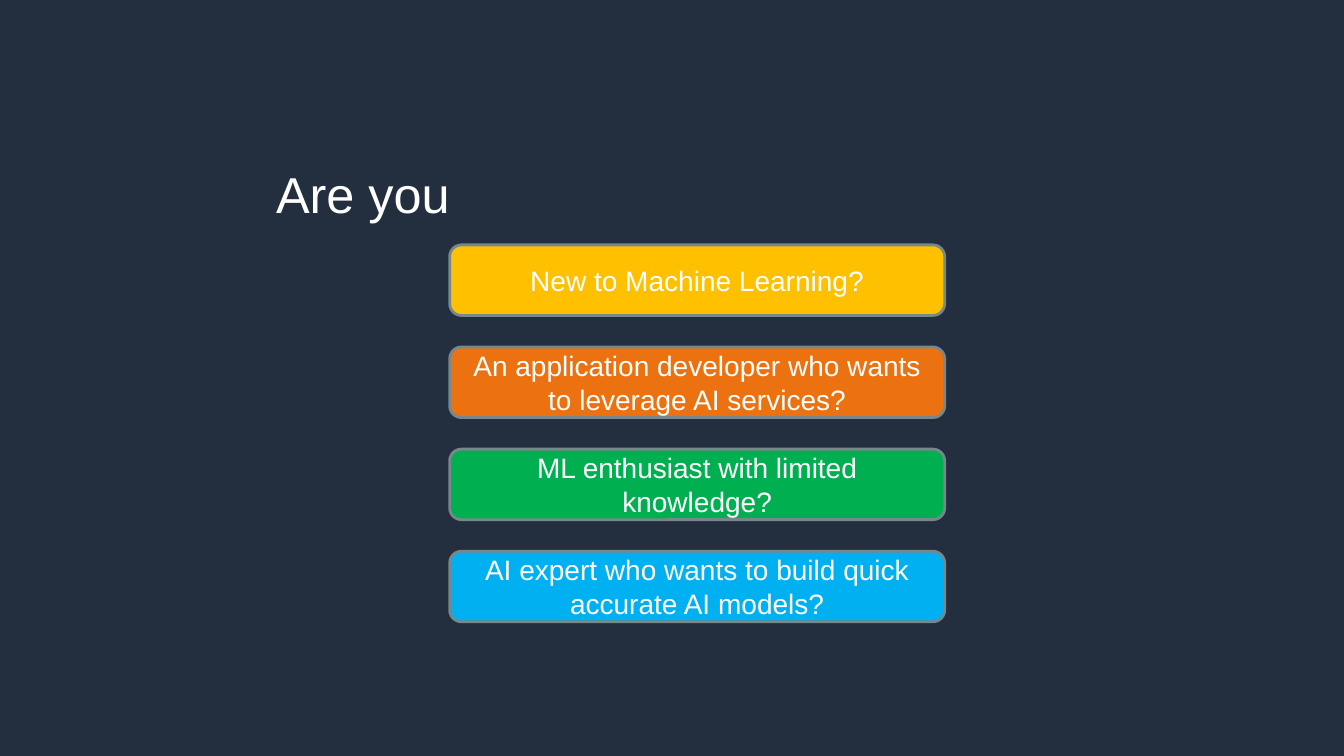
import pptx
import pptx.util
import pptx.dml.color
import pptx.enum.shapes
import pptx.enum.text

Inches, Pt = pptx.util.Inches, pptx.util.Pt
ALIGN = pptx.enum.text.PP_ALIGN
ANCHOR = pptx.enum.text.MSO_ANCHOR

# Content
TITLE = "Are you "
QUESTIONS = [
    ("New to Machine Learning?", "yellow"),
    ("An application developer who wants to leverage AI services?", "orange"),
    ("ML enthusiast with limited knowledge?", "green"),
    ("AI expert who wants to build quick accurate AI models?", "blue"),
]
COLORS = {
    "navy": "232F3E", "white": "FFFFFF", "border": "77878C",
    "yellow": "FFC000", "orange": "EC7211", "green": "00B050", "blue": "00B0F0",
}

# Layout of the question boxes, in inches
BOX_LEFT, BOX_TOP, BOX_WIDTH, BOX_HEIGHT = 4.46, 2.43, 4.91, 0.7
BOX_STEP = 1.013


def rgb(name):
    return pptx.dml.color.RGBColor.from_string(COLORS[name])


def write(sp, text, size, align, anchor):
    tf = sp.text_frame
    tf.word_wrap = True
    tf.vertical_anchor = anchor
    p = tf.paragraphs[0]
    p.alignment = align
    r = p.add_run()
    r.text = text
    r.font.name = "Arial"
    r.font.size = Pt(size)
    r.font.color.rgb = rgb("white")


prs = pptx.Presentation()
prs.slide_width, prs.slide_height = Inches(13.33), Inches(7.5)
s = prs.slides.add_slide(prs.slide_layouts[6])

# Background
s.background.fill.solid()
s.background.fill.fore_color.rgb = rgb("navy")

# Title
sp = s.shapes.add_textbox(Inches(2.64), Inches(1.57), Inches(5.47), Inches(0.71))
write(sp, TITLE, 36, ALIGN.LEFT, ANCHOR.TOP)
sp.text_frame.auto_size = pptx.enum.text.MSO_AUTO_SIZE.SHAPE_TO_FIT_TEXT

# Question boxes
for i, (question, color) in enumerate(QUESTIONS):
    sp = s.shapes.add_shape(
        pptx.enum.shapes.MSO_SHAPE.ROUNDED_RECTANGLE,
        Inches(BOX_LEFT), Inches(BOX_TOP + i * BOX_STEP),
        Inches(BOX_WIDTH), Inches(BOX_HEIGHT))
    sp.shadow.inherit = False
    sp.fill.solid()
    sp.fill.fore_color.rgb = rgb(color)
    sp.line.color.rgb = rgb("border")
    sp.line.width = Pt(2)
    write(sp, question, 20, ALIGN.CENTER, ANCHOR.MIDDLE)

prs.save("out.pptx")
